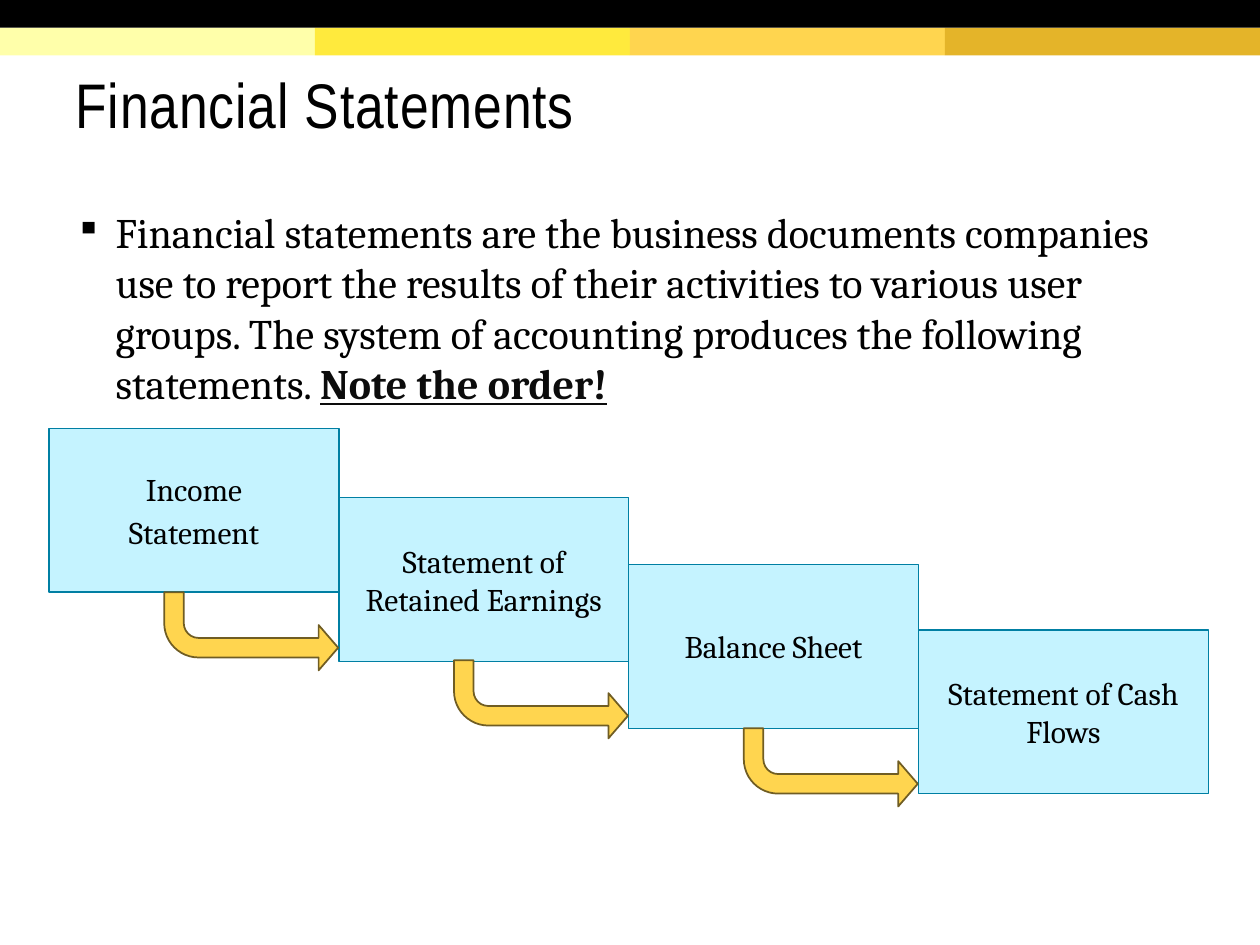
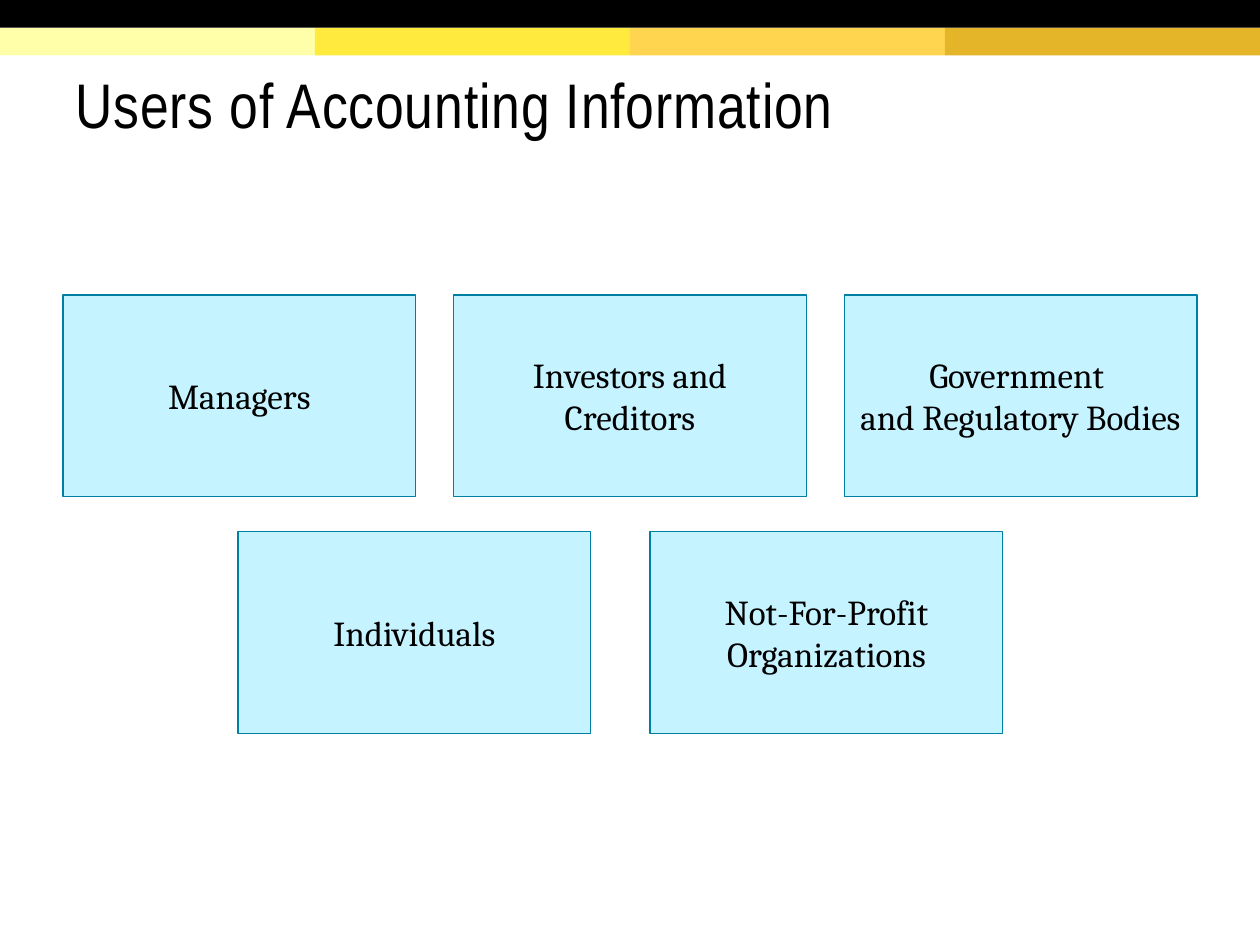
import pptx
import pptx.util
import pptx.dml.color
import pptx.enum.shapes
import pptx.enum.text
import pptx.oxml.ns
import lxml.etree

Pt = pptx.util.Pt
Shape = pptx.enum.shapes.MSO_SHAPE
Align = pptx.enum.text.PP_ALIGN
Anchor = pptx.enum.text.MSO_ANCHOR

HUES = {
    "black": "000000", "note": "0C0C0C",
    "cream": "FFFFAA", "lemon": "FFEA3D", "gold": "FFD54F", "ochre": "E4B429",
    "box": "C5F3FF", "edge": "007FA3", "rim": "705D23",
}


def hue(name):
    return pptx.dml.color.RGBColor.from_string(HUES[name])


class Deck:
    head = "Arial Narrow"
    body = "Cambria"
    band = 15.84

    def __init__(self):
        self.show = pptx.Presentation()
        self.show.slide_width, self.show.slide_height = Pt(720), Pt(540)
        self.slide = None

    def page(self, title):
        self.slide = self.show.slides.add_slide(self.show.slide_layouts[6])
        for i, fill in enumerate(("cream", "lemon", "gold", "ochre")):
            self.shape(Shape.RECTANGLE, (180 * i, self.band, 180, self.band), fill)
        self.shape(Shape.RECTANGLE, (0, 0, 720, self.band), "black")
        frame = self.text((36, 17.28, 648, 86.4))
        frame.vertical_anchor = Anchor.MIDDLE
        frame.margin_top = Pt(7.2)
        para = frame.paragraphs[0]
        para.text = title
        para.line_spacing = 0.85
        run = para.runs[0]
        self.style(run, 36, self.head)
        run.font._element.set("spc", "50")

    def shape(self, kind, area, fill, line=None, width=0.75):
        item = self.slide.shapes.add_shape(kind, *map(Pt, area))
        item.shadow.inherit = False
        item.fill.solid()
        item.fill.fore_color.rgb = hue(fill)
        if line:
            item.line.color.rgb = hue(line)
            item.line.width = Pt(width)
        else:
            item.line.fill.background()
        return item

    def text(self, area):
        frame = self.slide.shapes.add_textbox(*map(Pt, area)).text_frame
        frame.word_wrap = True
        return frame

    def style(self, run, size, face, color="black"):
        run.font.size = Pt(size)
        run.font.name = face
        run.font.color.rgb = hue(color)

    def box(self, area, lines, size):
        item = self.shape(Shape.RECTANGLE, area, "box", "edge")
        frame = item.text_frame
        frame.word_wrap = True
        frame.vertical_anchor = Anchor.MIDDLE
        frame.margin_left = frame.margin_right = Pt(7.2)
        frame.margin_top = frame.margin_bottom = Pt(7.2)
        for i, line in enumerate(lines):
            para = frame.add_paragraph() if i else frame.paragraphs[0]
            para.text = line
            para.alignment = Align.CENTER
            para.space_after = Pt(8 if i == len(lines) - 1 else 6)
            if i:
                para.line_spacing = 0.85
            for run in para.runs:
                self.style(run, size, self.body)

    def arrow(self, area):
        item = self.shape(Shape.BENT_ARROW, area, "gold", "rim", 1)
        for i, value in enumerate((0.25, 0.29, 0.25, 0.44)):
            item.adjustments[i] = value
        item.rotation = 180
        item._element.spPr.xfrm.set("flipH", "1")

    def bullet(self, area, text, note):
        para = self.text(area).paragraphs[0]
        props = para._p.get_or_add_pPr()
        props.set("marL", str(Pt(23)))
        props.set("indent", str(-Pt(23)))
        name = pptx.oxml.ns.qn
        tint = lxml.etree.SubElement(props, name("a:buClr"))
        lxml.etree.SubElement(tint, name("a:srgbClr"), val=HUES["black"])
        lxml.etree.SubElement(props, name("a:buSzPct"), val="85000")
        lxml.etree.SubElement(props, name("a:buChar"), char="▪")
        para.space_after = Pt(8)
        for words, color in ((text, "black"), (note, "note")):
            run = para.add_run()
            run.text = words
            self.style(run, 24, self.body, color)
        run.font.bold = run.font.underline = True


def flow(deck):
    deck.page("Financial Statements")
    deck.bullet(
        (36, 114.48, 648, 125.28),
        "Financial statements are the business documents companies use to report "
        "the results of their activities to various user groups. The system of "
        "accounting produces the following statements. ",
        "Note the order!")
    wide = 165.6
    steps = (
        (244.8, ("Income", "Statement")),
        (284.4, ("Statement of Retained Earnings",)),
        (322.56, ("Balance Sheet",)),
        (360, ("Statement of Cash Flows",)),
    )
    for i, (top, lines) in enumerate(steps):
        deck.box((28.08 + wide * i, top, wide, 93.6), lines, 18)
    for i in range(len(steps) - 1):
        deck.arrow((93.8 + wide * i, 338.4 + 38.9 * i, 99.4, 44.64))


def users(deck):
    deck.page("Users of Accounting Information")
    rows = (
        (36, 168.6, 223.2, ("Managers", "Investors and Creditors",
                            "Government \nand Regulatory Bodies")),
        (136, 303.84, 235.5, ("Individuals", "Not-For-Profit Organizations")),
    )
    for left, top, step, names in rows:
        for i, name in enumerate(names):
            deck.box((left + step * i, top, 201.6, 115.2), (name,), 20)


def main():
    deck = Deck()
    flow(deck)
    users(deck)
    deck.show.save("out.pptx")


if __name__ == "__main__":
    main()
